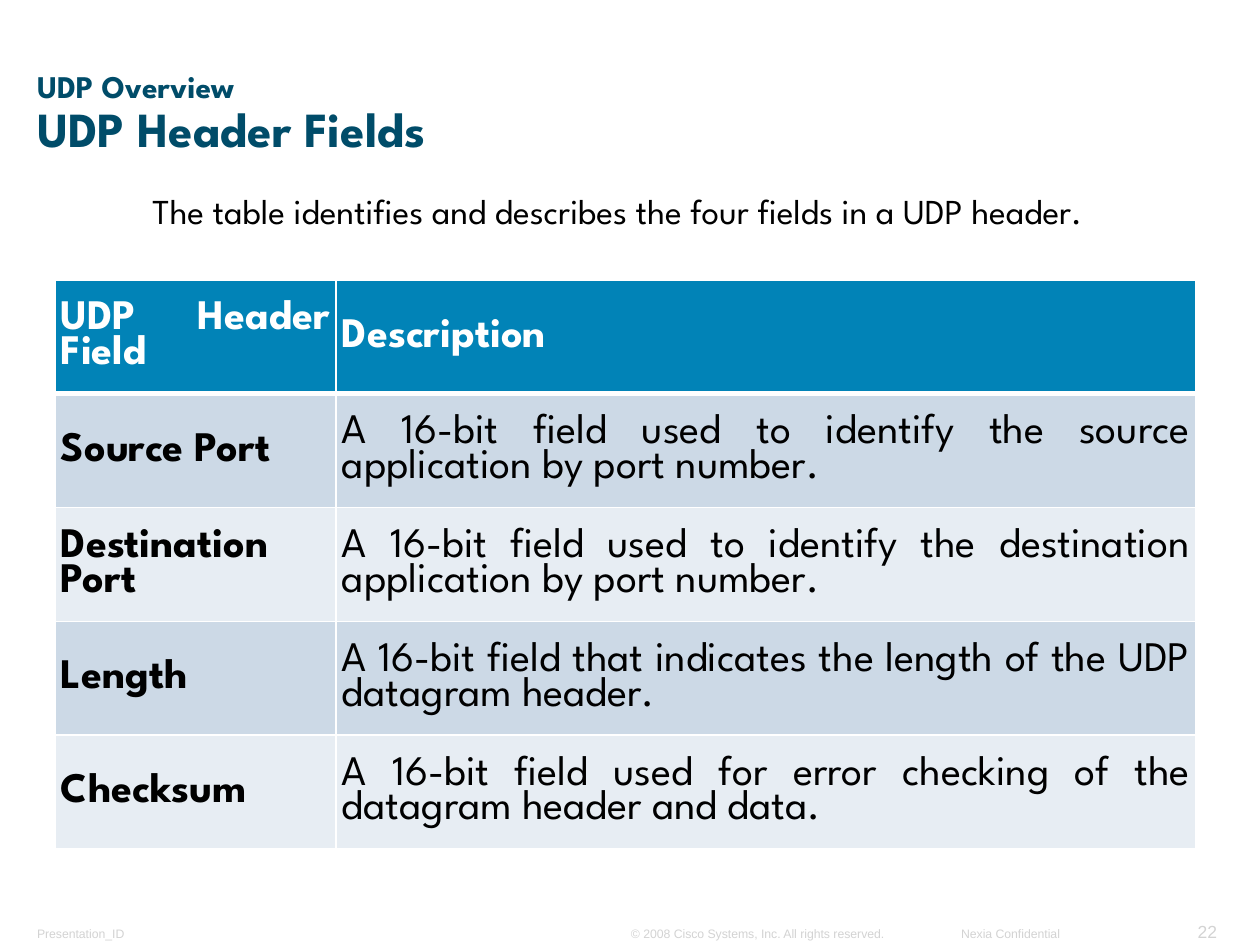
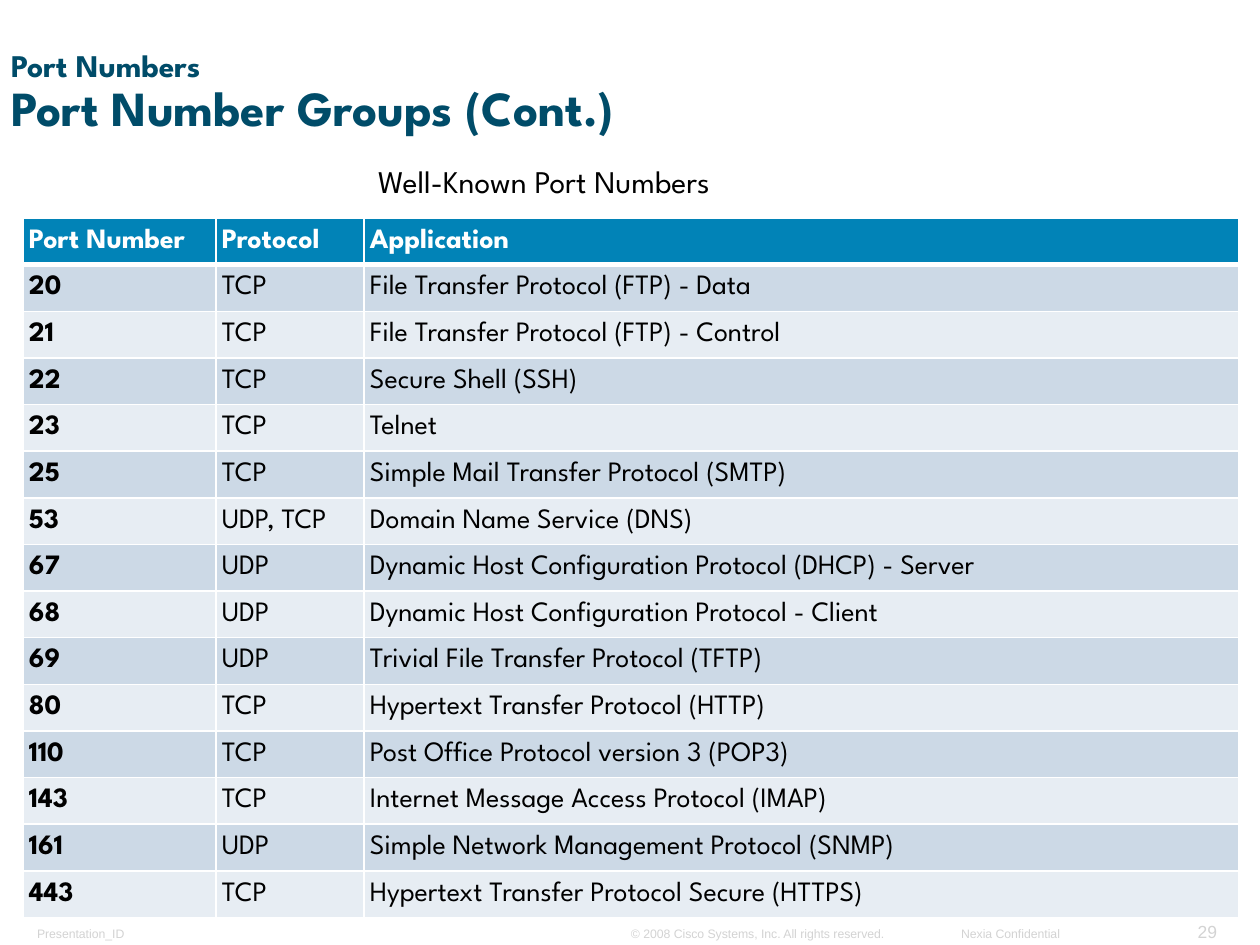
"""Build two slides on UDP header fields and well-known port numbers."""
from dataclasses import dataclass

from lxml import etree
from pptx import Presentation
from pptx.dml.color import RGBColor
from pptx.enum.text import MSO_ANCHOR, MSO_AUTO_SIZE, PP_ALIGN
from pptx.oxml.ns import qn
from pptx.util import Emu, Pt

LEFT, CENTER, RIGHT, JUSTIFY = PP_ALIGN.LEFT, PP_ALIGN.CENTER, PP_ALIGN.RIGHT, PP_ALIGN.JUSTIFY
TOP, MIDDLE, BOTTOM = MSO_ANCHOR.TOP, MSO_ANCHOR.MIDDLE, MSO_ANCHOR.BOTTOM
NO_AUTOFIT = MSO_AUTO_SIZE.NONE
PX_PER_INCH = 126
TITLE_ONLY = 5


@dataclass(frozen=True)
class Theme:
    """Colours, fonts and type sizes shared by the slides."""
    heading: str = "004C69"
    header_fill: str = "0183B7"
    bands: tuple[str, str] = ("CCD9E6", "E7EDF3")
    white: str = "FFFFFF"
    body: str = "000000"
    footer: str = "D3D3D3"
    font: str = "League Spartan"
    footer_font: str = "Arial"
    topic_size: int = 18
    title_size: int = 28
    footer_size: int = 7
    number_size: int = 10
    line_spacing: float = 0.9
    thin_border: int = 1
    thick_border: int = 3


THEME = Theme()


@dataclass(frozen=True)
class Box:
    """A rectangle in px."""
    left: int
    top: int
    width: int
    height: int

    def emu(self) -> tuple[Emu, Emu, Emu, Emu]:
        """Return the rectangle in EMU."""
        return px(self.left), px(self.top), px(self.width), px(self.height)


@dataclass(frozen=True)
class TextStyle:
    """The look of one paragraph."""
    size: int
    color: str = THEME.body
    bold: bool = False
    align: PP_ALIGN = LEFT
    font: str = THEME.font
    spacing: float = THEME.line_spacing


@dataclass(frozen=True)
class Label:
    """A line of text in its box."""
    text: str
    box: Box
    style: TextStyle
    anchor: MSO_ANCHOR = TOP
    insets: tuple[int, int] = (13, 6)


@dataclass(frozen=True)
class Grid:
    """A table with a header row and equal row heights."""
    box: Box
    columns: tuple[int, ...]
    rows: tuple[tuple[str, ...], ...]
    size: int
    align: PP_ALIGN


@dataclass(frozen=True)
class Page:
    """The content of one slide."""
    number: int
    topic: str
    title: str
    title_box: Box
    caption: Label
    grid: Grid


def px(length: int) -> Emu:
    """Convert px to EMU."""
    return Emu(round(length * 914400 / PX_PER_INCH))


def style_paragraph(paragraph, style: TextStyle) -> None:
    """Apply a text style to a paragraph."""
    paragraph.alignment = style.align
    paragraph.line_spacing = style.spacing
    paragraph.font.name = style.font
    paragraph.font.size = Pt(style.size)
    paragraph.font.bold = style.bold
    paragraph.font.color.rgb = RGBColor.from_string(style.color)


def set_frame(frame, anchor: MSO_ANCHOR, insets: tuple[int, int]) -> None:
    """Set wrapping, anchor and insets of a text frame."""
    frame.word_wrap = True
    frame.auto_size = NO_AUTOFIT
    frame.vertical_anchor = anchor
    frame.margin_left = frame.margin_right = px(insets[0])
    frame.margin_top = frame.margin_bottom = px(insets[1])


def add_label(slide, label: Label) -> None:
    """Draw a label as a text box."""
    frame = slide.shapes.add_textbox(*label.box.emu()).text_frame
    set_frame(frame, label.anchor, label.insets)
    paragraph = frame.paragraphs[0]
    paragraph.text = label.text
    style_paragraph(paragraph, label.style)


def add_title(slide, page: Page) -> None:
    """Fill the title placeholder with the topic and the title."""
    title = slide.shapes.title
    title.left, title.top, title.width, title.height = page.title_box.emu()
    set_frame(title.text_frame, BOTTOM, (11, 5))
    paragraph = title.text_frame.paragraphs[0]
    style_paragraph(paragraph, TextStyle(THEME.topic_size, THEME.heading, bold=True))
    paragraph.add_run().text = page.topic
    paragraph.add_line_break()
    span = paragraph.add_run()
    span.text = page.title
    span.font.size = Pt(THEME.title_size)


def add_borders(cell, top: int, bottom: int) -> None:
    """Draw white borders round a cell, with widths in points."""
    properties = cell._tc.get_or_add_tcPr()
    widths = {"a:lnL": THEME.thin_border, "a:lnR": THEME.thin_border, "a:lnT": top, "a:lnB": bottom}
    for position, (tag, width) in enumerate(widths.items()):
        line = etree.Element(qn(tag), w=str(Pt(width)))
        fill = etree.SubElement(line, qn("a:solidFill"))
        etree.SubElement(fill, qn("a:srgbClr"), val=THEME.white)
        properties.insert(position, line)


def fill_cell(cell, text: str, row: int, column: int, grid: Grid) -> None:
    """Write and format one table cell."""
    header = row == 0
    cell.fill.solid()
    fill = THEME.header_fill if header else THEME.bands[(row - 1) % 2]
    cell.fill.fore_color.rgb = RGBColor.from_string(fill)
    cell.vertical_anchor = MIDDLE
    cell.margin_left = cell.margin_right = cell.margin_top = cell.margin_bottom = px(6)
    paragraph = cell.text_frame.paragraphs[0]
    paragraph.text = text
    color = THEME.white if header else THEME.body
    style_paragraph(paragraph, TextStyle(grid.size, color, header or column == 0, grid.align))
    add_borders(
        cell,
        top=THEME.thick_border if row == 1 else THEME.thin_border,
        bottom=THEME.thick_border if header else THEME.thin_border,
    )


def add_grid(slide, grid: Grid) -> None:
    """Draw a grid as a table."""
    count = len(grid.rows)
    table = slide.shapes.add_table(count, len(grid.columns), *grid.box.emu()).table
    table.horz_banding = False
    for column, width in enumerate(grid.columns):
        table.columns[column].width = px(width)
    for row, texts in enumerate(grid.rows):
        table.rows[row].height = Emu(px(grid.box.height) // count)
        for column, text in enumerate(texts):
            fill_cell(table.cell(row, column), text, row, column, grid)


def footer_label(text: str, box: Box, align: PP_ALIGN = LEFT, size: int = THEME.footer_size) -> Label:
    """Describe one footer item."""
    style = TextStyle(size, THEME.footer, align=align, font=THEME.footer_font, spacing=1.0)
    return Label(text, box, style, BOTTOM, (11, 5))


FOOTERS = (
    footer_label("Presentation_ID", Box(26, 920, 132, 26)),
    footer_label("© 2008 Cisco Systems, Inc. All rights reserved.", Box(620, 920, 278, 26)),
    footer_label("Nexia Confidential", Box(950, 920, 121, 26), RIGHT),
)

HEADER_FIELDS = Page(
    number=22,
    topic="UDP Overview",
    title="UDP Header Fields",
    title_box=Box(26, 62, 1150, 101),
    caption=Label(
        "The table identifies and describes the four fields in a UDP header.",
        Box(26, 188, 1184, 50),
        TextStyle(20, align=CENTER),
    ),
    grid=Grid(
        box=Box(55, 280, 1141, 569),
        columns=(281, 860),
        rows=(
            ("UDP Header Field", "Description"),
            ("Source Port", "A 16-bit field used to identify the source application by port number."),
            ("Destination Port", "A 16-bit field used to identify the destination application by port number."),
            ("Length", "A 16-bit field that indicates the length of the UDP datagram header."),
            ("Checksum", "A 16-bit field used for error checking of the datagram header and data."),
        ),
        size=24,
        align=JUSTIFY,
    ),
)

PORT_NUMBERS = Page(
    number=29,
    topic="Port Numbers",
    title="Port Number Groups (Cont.)",
    title_box=Box(0, 63, 1150, 79),
    caption=Label("Well-Known Port Numbers", Box(365, 160, 420, 47), TextStyle(18)),
    grid=Grid(
        box=Box(23, 218, 1216, 700),
        columns=(193, 148, 875),
        rows=(
            ("Port Number", "Protocol", "Application"),
            ("20", "TCP", "File Transfer Protocol (FTP) - Data"),
            ("21", "TCP", "File Transfer Protocol (FTP) - Control"),
            ("22", "TCP", "Secure Shell (SSH)"),
            ("23", "TCP", "Telnet"),
            ("25", "TCP", "Simple Mail Transfer Protocol (SMTP)"),
            ("53", "UDP, TCP", "Domain Name Service (DNS)"),
            ("67", "UDP", "Dynamic Host Configuration Protocol (DHCP) - Server"),
            ("68", "UDP", "Dynamic Host Configuration Protocol - Client"),
            ("69", "UDP", "Trivial File Transfer Protocol (TFTP)"),
            ("80", "TCP", "Hypertext Transfer Protocol (HTTP)"),
            ("110", "TCP", "Post Office Protocol version 3 (POP3)"),
            ("143", "TCP", "Internet Message Access Protocol (IMAP)"),
            ("161", "UDP", "Simple Network Management Protocol (SNMP)"),
            ("443", "TCP", "Hypertext Transfer Protocol Secure (HTTPS)"),
        ),
        size=16,
        align=LEFT,
    ),
)


def add_page(deck, page: Page) -> None:
    """Add one slide with its footer, title, caption and table."""
    slide = deck.slides.add_slide(deck.slide_layouts[TITLE_ONLY])
    number = footer_label(str(page.number), Box(1184, 914, 44, 33), RIGHT, THEME.number_size)
    for label in (*FOOTERS, number):
        add_label(slide, label)
    add_title(slide, page)
    add_label(slide, page.caption)
    add_grid(slide, page.grid)


def main() -> None:
    """Build and save the deck."""
    deck = Presentation()
    deck.slide_width, deck.slide_height = px(1260), px(945)
    for page in (HEADER_FIELDS, PORT_NUMBERS):
        add_page(deck, page)
    deck.save("out.pptx")


if __name__ == "__main__":
    main()
